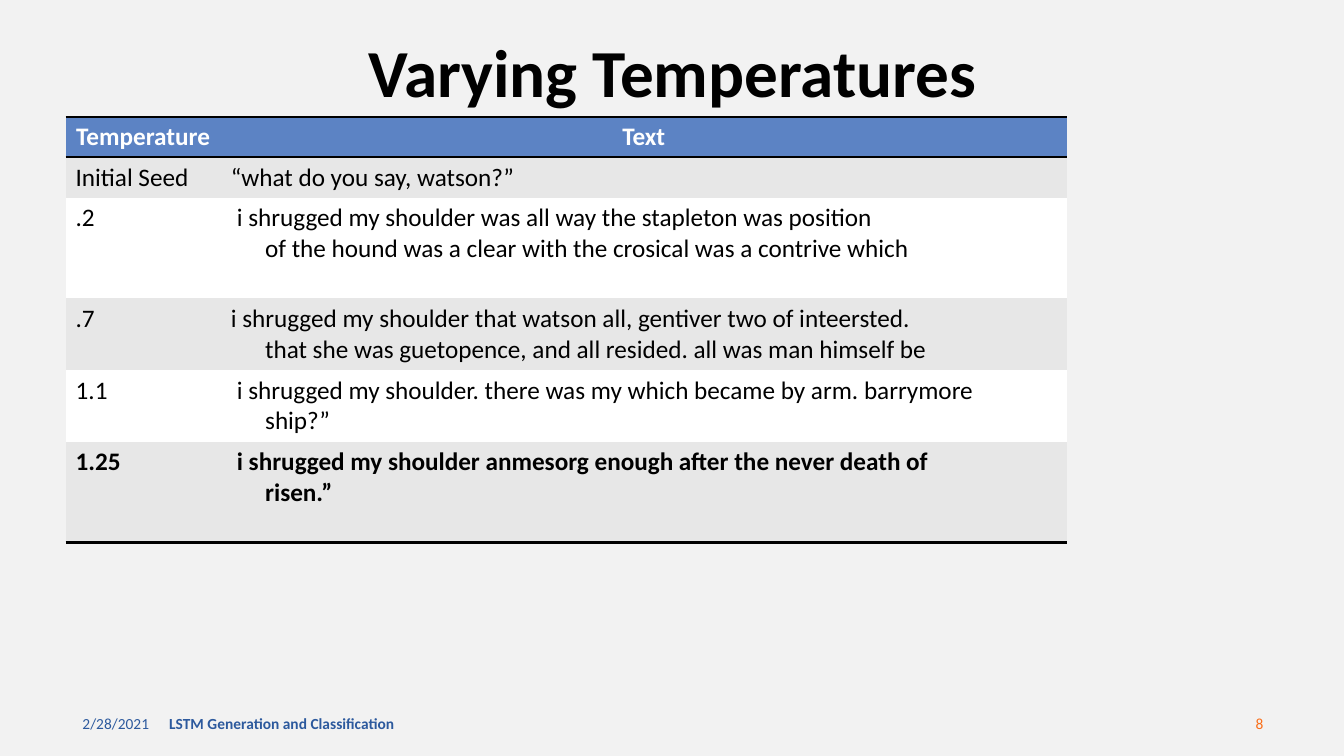
"""Build the slide on text generated at varying temperatures."""
from dataclasses import dataclass

from lxml import etree
from pptx import Presentation
from pptx import util as u
from pptx.dml import color
from pptx.enum import text
from pptx.oxml import ns

COLORS = {
    "background": "F2F2F2", "ink": "000000", "header": "5C83C4", "header_ink": "FFFFFF",
    "band": "E7E7E7", "plain": "FFFFFF", "footer": "2C599D", "number": "FA6F1A",
}
LEFT, CENTER, RIGHT = text.PP_ALIGN.LEFT, text.PP_ALIGN.CENTER, text.PP_ALIGN.RIGHT
NO_STYLE = "{2D5ABB26-0587-4C30-8999-92F81FD0307C}"
LEAD, HANGING = 0.06, 0.34


@dataclass
class Label:
    wording: str
    box: tuple[float, float, float, float]
    size: int
    ink: str
    bold: bool = False
    align: text.PP_ALIGN = LEFT
    spacing: float = 1.0


@dataclass
class Sample:
    temperature: str
    lines: list[str]
    height: float
    lead: float = LEAD
    bold: bool = False


LABELS = [
    Label("2/28/2021", (0.72, 6.98, 3, 0.4), 11, "footer"),
    Label("LSTM Generation and Classification", (1.58, 6.98, 4.5, 0.4), 11, "footer", True),
    Label("8", (9.63, 6.98, 3, 0.4), 11, "number", align=RIGHT),
    Label("Varying Temperatures", (0.92, 0.37, 11.5, 0.77), 48, "ink", True, CENTER, 0.9),
]
SAMPLES = [
    Sample("Temperature", ["Text"], 0.4, 0, True),
    Sample("Initial Seed", ["“what do you say, watson?”"], 0.4, 0),
    Sample(".2", ["i shrugged my shoulder was all way the stapleton was position",
                  "of the hound was a clear with the crosical was a contrive which"], 1),
    Sample(".7", ["i shrugged my shoulder that watson all, gentiver two of inteersted.",
                  "that she was guetopence, and all resided. all was man himself be"], 0.71, 0),
    Sample("1.1", ["i shrugged my shoulder. there was my which became by arm. barrymore",
                   "ship?”"], 0.71),
    Sample("1.25", ["i shrugged my shoulder anmesorg enough after the never death of",
                    "risen.”"], 1, bold=True),
]


def rgb(name: str) -> color.RGBColor:
    return color.RGBColor.from_string(COLORS[name])


def write(paragraph, wording: str, size: int, ink: str, bold: bool, align: text.PP_ALIGN) -> None:
    paragraph.alignment = align
    run = paragraph.add_run()
    run.text = wording
    for attribute, value in {"name": "Calibri", "size": u.Pt(size), "bold": bold}.items():
        setattr(run.font, attribute, value)
    run.font.color.rgb = rgb(ink)


def draw_label(slide, label: Label) -> None:
    frame = slide.shapes.add_textbox(*map(u.Inches, label.box)).text_frame
    layout = {"word_wrap": True, "vertical_anchor": text.MSO_ANCHOR.MIDDLE}
    for attribute, value in layout.items():
        setattr(frame, attribute, value)
    paragraph = frame.paragraphs[0]
    paragraph.line_spacing = label.spacing
    write(paragraph, label.wording, label.size, label.ink, label.bold, label.align)


def rule_cell(cell, sides: list[str]) -> None:
    properties = cell._tc.get_or_add_tcPr()
    for position, side in enumerate(sides):
        line = etree.Element(ns.qn(f"a:{side}"), w=str(u.Pt(2)))
        fill = etree.SubElement(line, ns.qn("a:solidFill"))
        etree.SubElement(fill, ns.qn("a:srgbClr"), val=COLORS["ink"])
        properties.insert(position, line)


def fill_cell(cell, lines: list[str], sample: Sample, row: int) -> None:
    header = row == 0
    cell.fill.solid()
    cell.fill.fore_color.rgb = rgb("header" if header else "band" if row % 2 else "plain")
    for index, wording in enumerate(lines):
        frame = cell.text_frame
        paragraph = frame.add_paragraph() if index else frame.paragraphs[0]
        write(paragraph, wording, 18, "header_ink" if header else "ink", sample.bold,
              CENTER if header else LEFT)
        indent = HANGING if index else sample.lead if lines is sample.lines else 0
        paragraph._p.get_or_add_pPr().set("marL", str(u.Inches(indent)))
    if header:
        rule_cell(cell, ["lnT", "lnB"])
    elif row == len(SAMPLES) - 1:
        rule_cell(cell, ["lnB"])


def draw_samples(slide, samples: list[Sample]) -> None:
    height = sum(sample.height for sample in samples)
    box = map(u.Inches, (0.65, 1.16, 9.93, height))
    table = slide.shapes.add_table(len(samples), 2, *box).table
    table._tbl.tblPr.find(ns.qn("a:tableStyleId")).text = NO_STYLE
    for column, width in zip(table.columns, (1.54, 8.39)):
        column.width = u.Inches(width)
    for row, sample in enumerate(samples):
        table.rows[row].height = u.Inches(sample.height)
        for column, lines in enumerate(([sample.temperature], sample.lines)):
            fill_cell(table.cell(row, column), lines, sample, row)


def main() -> None:
    deck = Presentation()
    deck.slide_width, deck.slide_height = u.Inches(13.33), u.Inches(7.5)
    slide = deck.slides.add_slide(deck.slide_layouts[6])
    slide.background.fill.solid()
    slide.background.fill.fore_color.rgb = rgb("background")
    for label in LABELS:
        draw_label(slide, label)
    draw_samples(slide, SAMPLES)
    deck.save("out.pptx")


if __name__ == "__main__":
    main()
